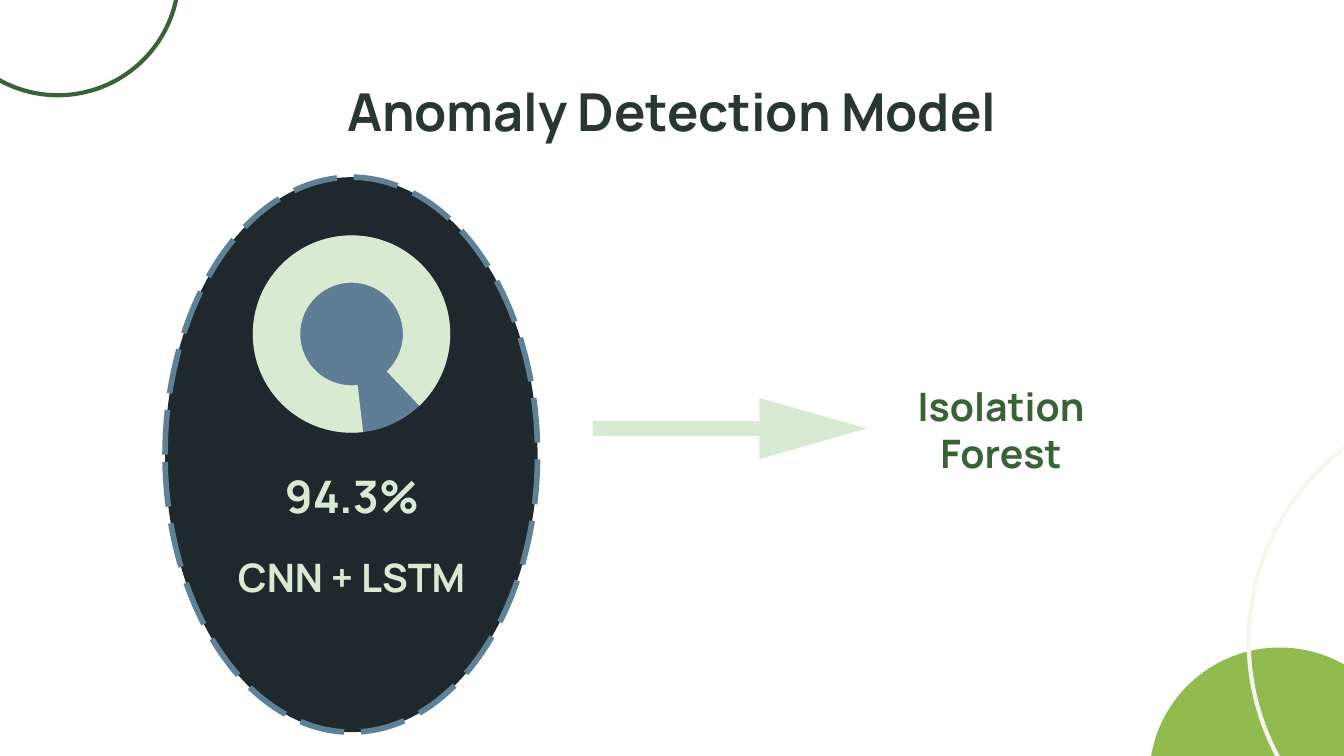
from dataclasses import dataclass

from pptx import Presentation
from pptx.dml.color import RGBColor
from pptx.enum.dml import MSO_LINE
from pptx.enum.shapes import MSO_SHAPE
from pptx.enum.text import MSO_ANCHOR, PP_ALIGN
from pptx.util import Cm, Pt


@dataclass(frozen=True)
class Theme:
    font: str = "Manrope"
    ink: str = "283730"
    forest: str = "396336"
    leaf: str = "91BA4F"
    mist: str = "F4F8EE"
    mint: str = "D9EAD3"
    night: str = "1E282D"
    edge: str = "5F8195"
    slate: str = "5F7D95"
    title: int = 28
    figure: int = 24
    label: int = 21


theme = Theme()
deck = Presentation()
deck.slide_width, deck.slide_height = Cm(25.4), Cm(14.29)
page = deck.slides.add_slide(deck.slide_layouts[6])


def write(text, left, top, width, height, size, color, anchor=MSO_ANCHOR.MIDDLE, spacing=1.0):
    box = page.shapes.add_textbox(Cm(left), Cm(top), Cm(width), Cm(height))
    frame = box.text_frame
    frame.word_wrap = True
    frame.vertical_anchor = anchor
    frame.margin_left = frame.margin_right = Cm(0.25)
    frame.margin_top = frame.margin_bottom = Cm(0.25)
    para = frame.paragraphs[0]
    para.alignment = PP_ALIGN.CENTER
    para.line_spacing = spacing
    span = para.add_run()
    span.text = text
    span.font.name = theme.font
    span.font.size = Pt(size)
    span.font.bold = True
    span.font.color.rgb = RGBColor.from_string(color)


def paint(shape, fill=None, line=None, weight=2.25):
    shape.shadow.inherit = False
    if fill:
        shape.fill.solid()
        shape.fill.fore_color.rgb = RGBColor.from_string(fill)
    else:
        shape.fill.background()
    if line:
        shape.line.color.rgb = RGBColor.from_string(line)
        shape.line.width = Pt(weight)
    else:
        shape.line.fill.background()


for left, top, size, fill, line in (
    (-1.19, -2.77, 4.57, None, theme.forest),
    (21.72, 12.24, 4.93, theme.leaf, None),
    (23.6, 7.52, 9.2, None, theme.mist),
):
    circle = page.shapes.add_shape(MSO_SHAPE.OVAL, Cm(left), Cm(top), Cm(size), Cm(size))
    paint(circle, fill, line)

write("Anomaly Detection Model", 0.86, 1.24, 23.67, 1.6, theme.title, theme.ink,
      anchor=MSO_ANCHOR.TOP)
write("Isolation Forest", 16.38, 7.09, 5.08, 2.06, theme.label, theme.forest)

model = page.shapes.add_shape(MSO_SHAPE.OVAL, Cm(3.12), Cm(3.35), Cm(7.04), Cm(10.49))
paint(model, theme.night, theme.edge, weight=3)
model.line.dash_style = MSO_LINE.LONG_DASH

write("94.3%", 5.08, 8.64, 3.15, 1.45, theme.figure, theme.mint)
write("CNN + LSTM", 3.66, 10.08, 5.97, 1.6, theme.label, theme.mint,
      anchor=MSO_ANCHOR.TOP, spacing=1.15)

for kind, fill in ((MSO_SHAPE.OVAL, theme.slate), (MSO_SHAPE.BLOCK_ARC, theme.mint)):
    gauge = page.shapes.add_shape(kind, Cm(4.78), Cm(4.45), Cm(3.73), Cm(3.73))
    paint(gauge, fill)
gauge.adjustments[0] = 49.94
gauge.adjustments[1] = 27.97
gauge.adjustments[2] = 0.24

tail, neck, tip, middle = 11.2, 14.35, 16.38, 8.1
half_shaft, half_head = 0.14, 0.58
outline = [
    (tail, middle - half_shaft),
    (neck, middle - half_shaft),
    (neck, middle - half_head),
    (tip, middle),
    (neck, middle + half_head),
    (neck, middle + half_shaft),
    (tail, middle + half_shaft),
]
points = [(Cm(x), Cm(y)) for x, y in outline]
builder = page.shapes.build_freeform(*points[0])
builder.add_line_segments(points[1:], close=True)
paint(builder.convert_to_shape(), theme.mint)

deck.save("out.pptx")
